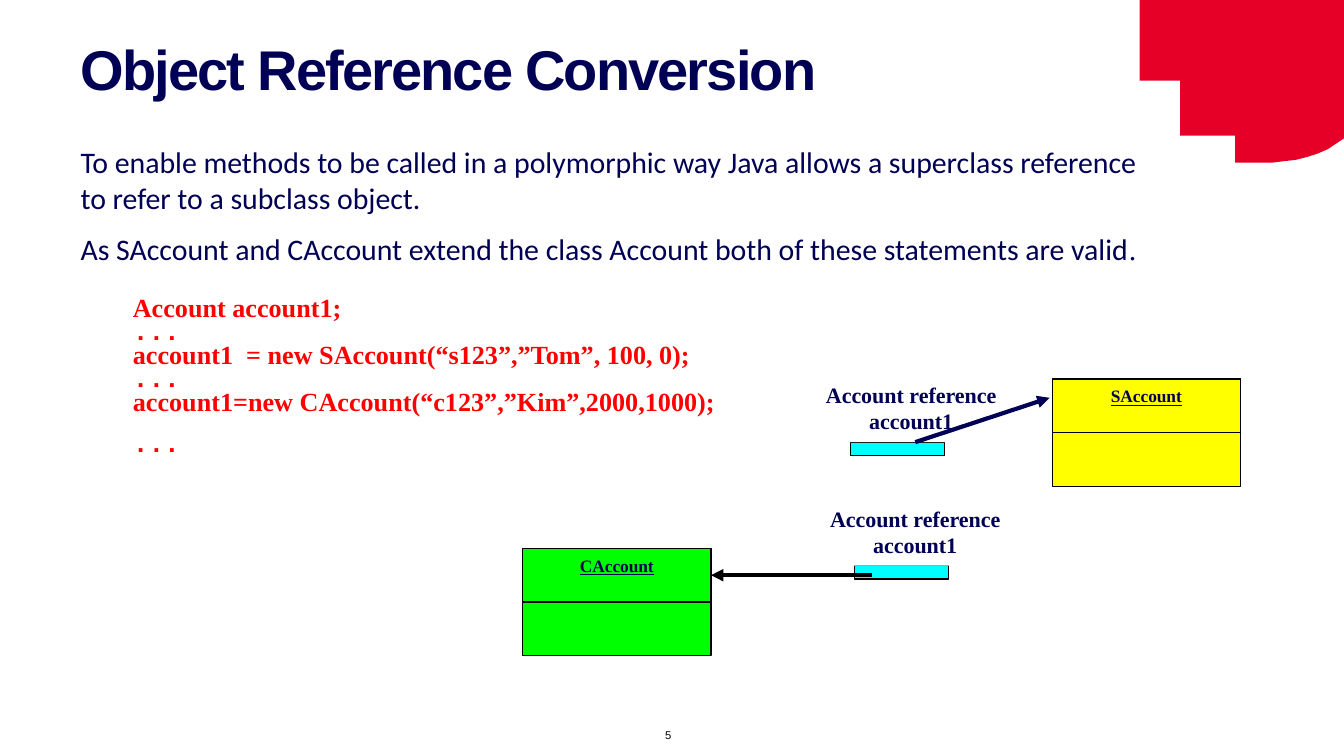
"""Build the slide on converting object references between Java classes."""
from dataclasses import dataclass, field

from lxml import etree
from pptx import Presentation
from pptx.dml.color import RGBColor
from pptx.enum.shapes import MSO_CONNECTOR, MSO_SHAPE
from pptx.enum.text import MSO_ANCHOR, MSO_AUTO_SIZE, PP_ALIGN
from pptx.oxml.ns import qn
from pptx.util import Emu, Inches, Pt

NAVY = RGBColor(0x00, 0x00, 0x54)
CRIMSON = RGBColor(0xE6, 0x00, 0x28)
RED = RGBColor(0xFF, 0x00, 0x00)
CYAN = RGBColor(0x00, 0xFF, 0xFF)
GREEN = RGBColor(0x00, 0xFF, 0x00)
YELLOW = RGBColor(0xFF, 0xFF, 0x00)
WHITE = RGBColor(0xFF, 0xFF, 0xFF)
BLACK = RGBColor(0x00, 0x00, 0x00)

RECTANGLE = MSO_SHAPE.RECTANGLE
STRAIGHT = MSO_CONNECTOR.STRAIGHT
TOP, NO_FIT = MSO_ANCHOR.TOP, MSO_AUTO_SIZE.NONE
LEFT, CENTER, JUSTIFY = PP_ALIGN.LEFT, PP_ALIGN.CENTER, PP_ALIGN.JUSTIFY

SLIDE_WIDTH = Inches(10)
SLIDE_HEIGHT = Emu(SLIDE_WIDTH * 9 // 16)
COLUMNS = 100
CELL = SLIDE_WIDTH / COLUMNS

SERIF, MONO, SANS, BODY = "Times New Roman", "Courier New", "Arial", "Calibri"
TITLE_FONT = dict(name=SANS, size=Pt(30), bold=True)
BODY_FONT = dict(name=BODY, size=Pt(16))
NUMBER_FONT = dict(name=SANS, size=Pt(6))
CODE_FONT = dict(name=SERIF, size=Pt(14), bold=True)
DOTS_FONT = CODE_FONT | dict(name=MONO)
LABEL_FONT = dict(name=SERIF, size=Pt(11.8), bold=True)
CLASS_FONT = dict(name=SERIF, size=Pt(9.3), bold=True, underline=True)

TIGHT = dict(line_spacing=0.75)
CORNER = [(84.8, 0), (100, 0), (100, 10.3), (98.8, 11.1), (98, 11.45), (97.2, 11.7),
          (96.4, 11.9), (95.5, 12), (94.7, 12.1), (91.9, 12.1), (91.9, 10.1),
          (87.8, 10.1), (87.8, 6), (84.8, 6)]


@dataclass(frozen=True)
class Area:
    """A block of grid columns and rows."""
    column: float
    row: float
    columns: float
    rows: float

    def emu(self) -> list[Emu]:
        """Return left, top, width and height in EMU."""
        return [grid(n) for n in (self.column, self.row, self.columns, self.rows)]


@dataclass(frozen=True)
class Line:
    """One paragraph: its runs with their fonts, and its format."""
    runs: list[tuple[str, dict]]
    layout: dict = field(default_factory=dict)


@dataclass(frozen=True)
class ClassBox:
    """A class with a name compartment above an empty one."""
    name: str
    column: float
    row: float
    color: RGBColor


@dataclass(frozen=True)
class Reference:
    """A reference variable: a label above its memory slot."""
    column: float
    row: float


@dataclass(frozen=True)
class Arrow:
    """An arrow between two grid points."""
    start: tuple[float, float]
    end: tuple[float, float]
    color: RGBColor


def grid(cells: float) -> Emu:
    """Turn a number of grid cells into a length."""
    return Emu(round(cells * CELL))


def assign(target, values: dict) -> None:
    """Set each named attribute of the target."""
    for name, value in values.items():
        setattr(target, name, value)


def write(owner, lines: list[Line], color: RGBColor, wrap: bool = True) -> None:
    """Fill the text frame of a shape with formatted paragraphs."""
    frame = owner.text_frame
    assign(frame, dict(word_wrap=wrap, auto_size=NO_FIT, vertical_anchor=TOP))
    for index, line in enumerate(lines):
        paragraph = frame.add_paragraph() if index else frame.paragraphs[0]
        assign(paragraph, line.layout)
        for words, font in line.runs:
            run = paragraph.add_run()
            run.text = words
            assign(run.font, font)
            run.font.color.rgb = color


def place(owner, area: Area) -> None:
    """Move a placeholder to an area of the grid."""
    assign(owner, dict(zip(("left", "top", "width", "height"), area.emu())))


def draw_box(shapes, area: Area, color: RGBColor, outlined: bool = True):
    """Draw a flat rectangle."""
    box = shapes.add_shape(RECTANGLE, *area.emu())
    box.shadow.inherit = False
    box.fill.solid()
    box.fill.fore_color.rgb = color
    if outlined:
        box.line.color.rgb = BLACK
        box.line.width = Pt(0.75)
    else:
        box.line.fill.background()
    return box


def draw_class(shapes, item: ClassBox) -> None:
    """Draw both compartments of a class."""
    draw_box(shapes, Area(item.column, item.row, 14, 8), item.color)
    header = draw_box(shapes, Area(item.column, item.row, 14, 4), item.color)
    write(header, [Line([(item.name, CLASS_FONT)], dict(alignment=CENTER))], NAVY)


def draw_reference(shapes, item: Reference) -> None:
    """Draw a reference label and the slot below it."""
    draw_box(shapes, Area(item.column + 5, item.row + 5, 7, 1), CYAN)
    label = draw_box(shapes, Area(item.column, item.row, 19, 5), WHITE, outlined=False)
    write(label, [Line([(words, LABEL_FONT)], dict(alignment=CENTER))
                  for words in ("Account reference", "account1")], NAVY)


def draw_arrow(shapes, item: Arrow) -> None:
    """Draw an arrow with a triangular head at its end."""
    arrow = shapes.add_connector(STRAIGHT, *map(grid, item.start + item.end))
    arrow.line.color.rgb = item.color
    arrow.line.width = Pt(2.25)
    etree.SubElement(arrow.line._get_or_add_ln(), qn("a:tailEnd"), type="triangle")
    etree.SubElement(arrow._element.spPr, qn("a:effectLst"))


def draw_corner(shapes) -> None:
    """Draw the stepped ornament in the top right corner."""
    points = [(grid(x), grid(y)) for x, y in CORNER]
    builder = shapes.build_freeform(*points[0])
    builder.add_line_segments(points[1:])
    corner = builder.convert_to_shape()
    corner.shadow.inherit = False
    corner.fill.solid()
    corner.fill.fore_color.rgb = CRIMSON
    corner.line.fill.background()


def main() -> None:
    """Build and save the presentation."""
    deck = Presentation()
    assign(deck, dict(slide_width=SLIDE_WIDTH, slide_height=SLIDE_HEIGHT))
    slide = deck.slides.add_slide(deck.slide_layouts[1])
    shapes = slide.shapes
    draw_corner(shapes)

    title, body = shapes.title, slide.placeholders[1]
    place(title, Area(5, 2.9, 82.4, 14.3))
    write(title, [Line([("Object Reference Conversion", TITLE_FONT)],
                       dict(alignment=LEFT, line_spacing=Pt(30)))], NAVY)
    title.text_frame.paragraphs[0].runs[0].font._element.set("spc", "-100")

    place(body, Area(5, 10.2, 81, 10.4))
    spaced = dict(space_before=Pt(8))
    write(body, [
        Line([("To enable methods to be called in a polymorphic way Java allows a "
               "superclass reference to refer to a subclass object.", BODY_FONT)], spaced),
        Line([("As SAccount and CAccount extend the class Account both of these "
               "statements are valid", BODY_FONT), (".", BODY_FONT | dict(name=SERIF))], spaced),
    ], NAVY)
    for paragraph in body.text_frame.paragraphs:
        properties = paragraph._p.get_or_add_pPr()
        properties.set("marL", "0")
        properties.set("indent", "0")
        etree.SubElement(properties, qn("a:buNone"))

    justified = TIGHT | dict(alignment=JUSTIFY)
    code = shapes.add_textbox(*Area(8.9, 21.7, 60.9, 13).emu())
    write(code, [
        Line([("Account account1;", CODE_FONT)], justified),
        Line([("...", DOTS_FONT)], TIGHT),
        Line([("account1  = new SAccount(“s123”,”Tom”, 100, 0);", CODE_FONT)], justified),
        Line([("...", DOTS_FONT)], justified),
        Line([("account1=new CAccount(“c123”,”Kim”,2000,1000);", CODE_FONT)], justified),
        Line([("...", DOTS_FONT)], dict(space_before=Pt(5.7))),
    ], RED)

    for reference in (Reference(58.6, 37.1), Reference(58.3, 27.9)):
        draw_reference(shapes, reference)
    for account in (ClassBox("CAccount", 38.9, 40.8, GREEN),
                    ClassBox("SAccount", 78.3, 28.2, YELLOW)):
        draw_class(shapes, account)
    for arrow in (Arrow((64.9, 42.8), (52.9, 42.8), BLACK),
                  Arrow((68.1, 32.9), (78.1, 29.6), NAVY)):
        draw_arrow(shapes, arrow)

    number = shapes.add_textbox(*Area(48.5, 53.7, 3, 2).emu())
    write(number, [Line([("5", NUMBER_FONT)])], BLACK, wrap=False)
    deck.save("out.pptx")


if __name__ == "__main__":
    main()
